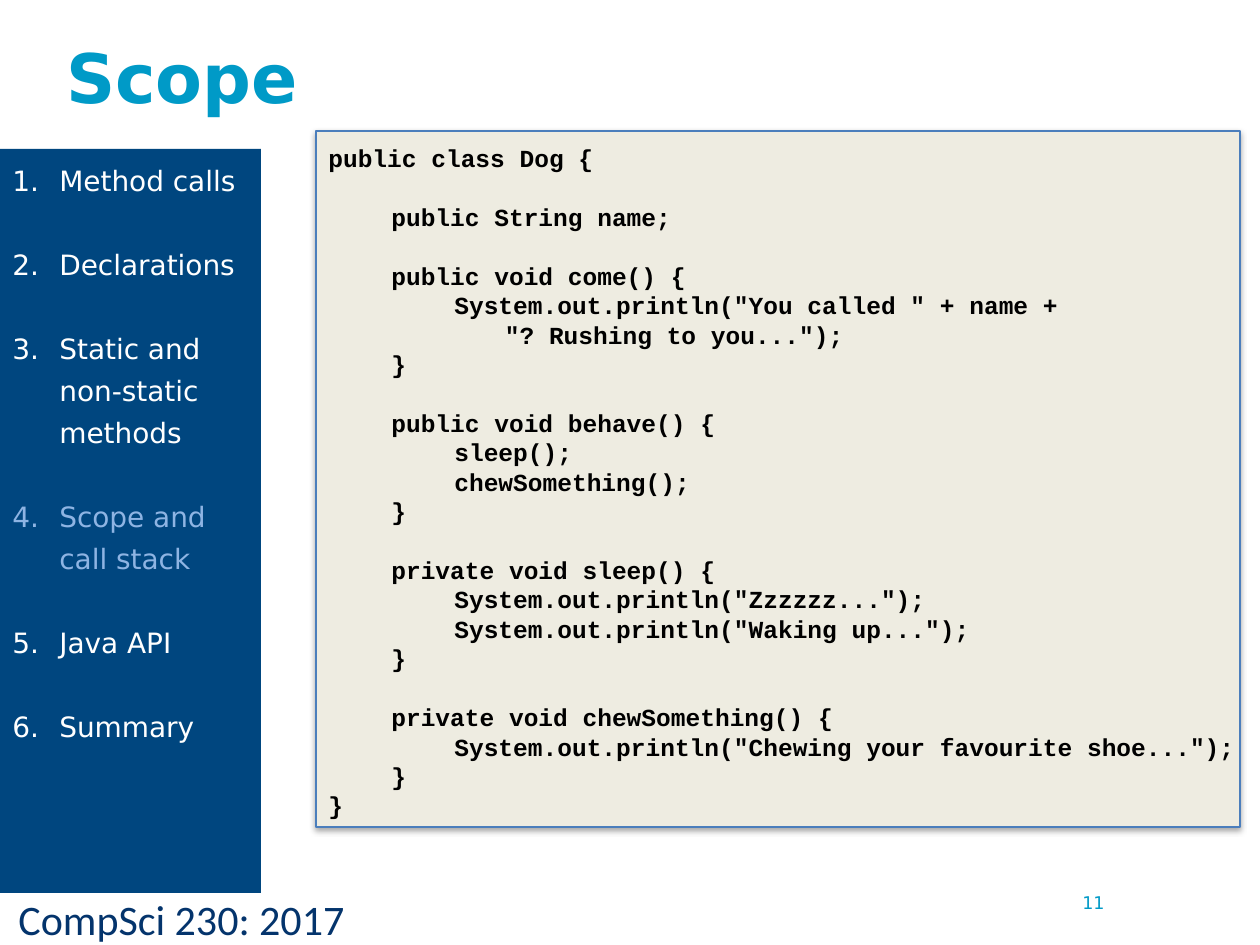
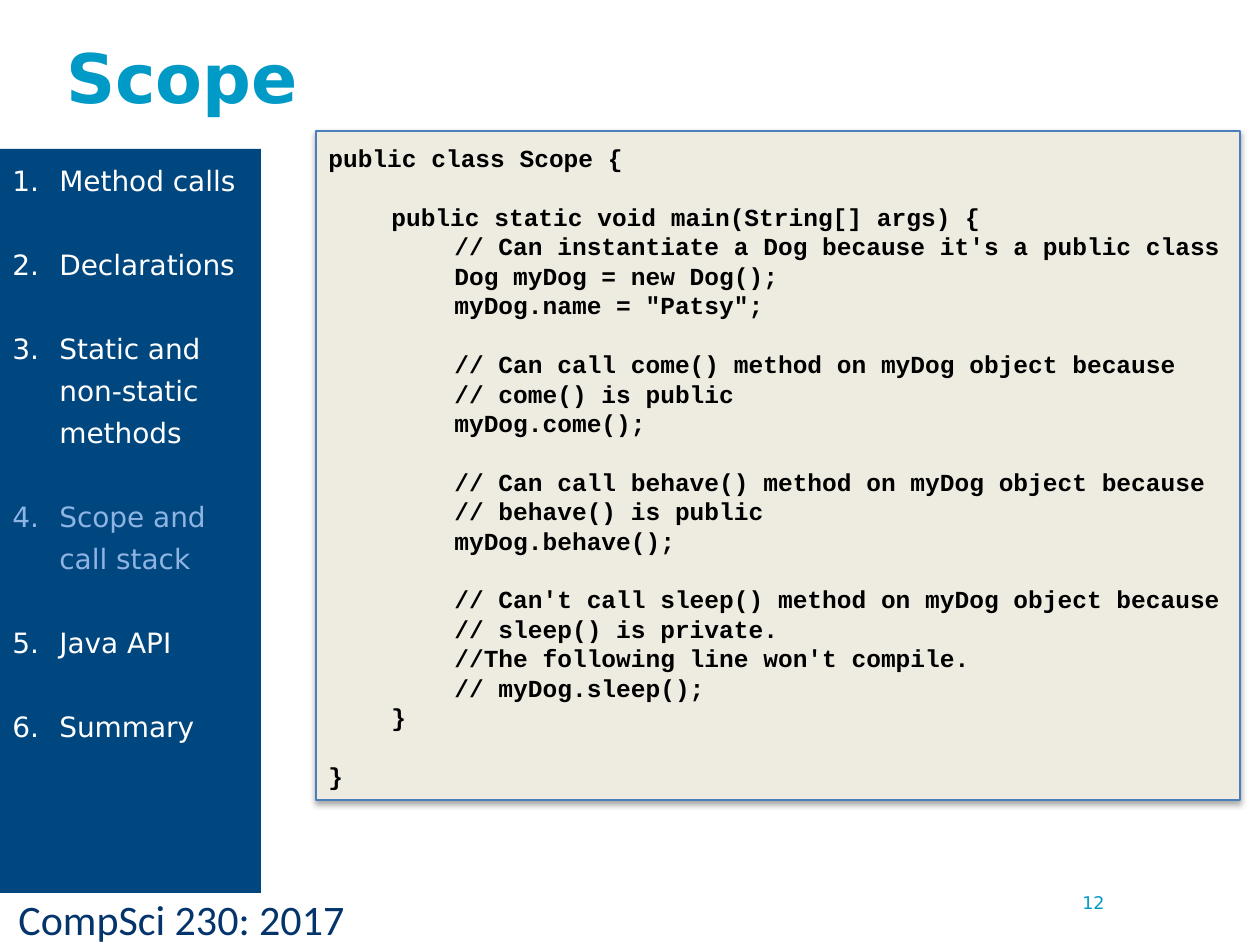
from lxml import etree
from pptx import Presentation
from pptx.dml.color import RGBColor
from pptx.enum.shapes import MSO_SHAPE
from pptx.enum.text import MSO_ANCHOR, PP_ALIGN
from pptx.oxml import parse_xml
from pptx.oxml.ns import nsdecls, qn
from pptx.util import Emu, Pt

PX = 914400 / 126
NAVY, SKY, PALE, WHITE = "00467F", "009AC7", "8EB4E3", "FFFFFF"
INK, FOOTER, CODE_FILL, CODE_LINE = "000000", "04346C", "EEECE1", "4B7EBC"
SANS, MONO, BODY = "DejaVu Sans", "Courier New", "Calibri"
TAB = 63
INDENT = 47

AGENDA = ["Method calls", "Declarations", "Static and non-static methods",
          "Scope and call stack", "Java API", "Summary"]
CURRENT = "Scope and call stack"

DOG_CODE = """public class Dog {

\tpublic String name;

\tpublic void come() {
\t\tSystem.out.println("You called " + name + \v            "? Rushing to you...");
\t}

\tpublic void behave() {
\t\tsleep();
\t\tchewSomething();
\t}

\tprivate void sleep() {
\t\tSystem.out.println("Zzzzzz...");
\t\tSystem.out.println("Waking up...");
\t}

\tprivate void chewSomething() {
\t\tSystem.out.println("Chewing your favourite shoe...");
\t}
}"""

SCOPE_CODE = """public class Scope {

\tpublic static void main(String[] args) {
\t\t// Can instantiate a Dog because it's a public class
\t\tDog myDog = new Dog();
\t\tmyDog.name = "Patsy";

\t\t// Can call come() method on myDog object because
\t\t// come() is public
\t\tmyDog.come();

\t\t// Can call behave() method on myDog object because
\t\t// behave() is public
\t\tmyDog.behave();

\t\t// Can't call sleep() method on myDog object because
\t\t// sleep() is private.
\t\t//The following line won't compile.
\t\t// myDog.sleep();
\t}

}"""

# code, code panel height, code text height, page number
SLIDES = [(DOG_CODE, 696, 692, "11"), (SCOPE_CODE, 669, 553, "12")]


def px(*lengths):
    return [Emu(round(n * PX)) for n in lengths]


def put_text(sp, text, size, font, color, bold=False):
    """Fill a shape with left-aligned text in one style and return its text frame."""
    tf = sp.text_frame
    tf.word_wrap = True
    tf.vertical_anchor = MSO_ANCHOR.TOP
    tf.text = text
    for p in tf.paragraphs:
        p.alignment = PP_ALIGN.LEFT
        for r in p.runs:
            r.font.size, r.font.name, r.font.bold = Pt(size), font, bold
            r.font.color.rgb = RGBColor.from_string(color)
    return tf


prs = Presentation()
prs.slide_width, prs.slide_height = px(1260, 945)

for code, panel_height, code_height, number in SLIDES:
    s = prs.slides.add_slide(prs.slide_layouts[6])

    footer = s.shapes.add_textbox(*px(6, 887, 510, 63))
    put_text(footer, "CompSci 230: 2017", 24, BODY, FOOTER)

    panel = s.shapes.add_shape(MSO_SHAPE.RECTANGLE, *px(316, 131, 924, panel_height))
    panel.fill.solid()
    panel.fill.fore_color.rgb = RGBColor.from_string(CODE_FILL)
    panel.line.color.rgb = RGBColor.from_string(CODE_LINE)
    panel.line.width = Pt(0.75)
    panel.shadow.inherit = False
    panel._element.spPr.find(qn("a:effectLst")).append(parse_xml(
        f'<a:outerShdw {nsdecls("a")} blurRad="40000" dist="23000" dir="5400000" '
        'rotWithShape="0"><a:srgbClr val="000000"><a:alpha val="35000"/>'
        '</a:srgbClr></a:outerShdw>'))

    listing = s.shapes.add_textbox(*px(316, 137, 944, code_height))
    tf = put_text(listing, code, 14, MONO, INK, bold=True)
    for p in tf.paragraphs:
        p.line_spacing = Pt(16.8)
        tabs = etree.SubElement(p._p.get_or_add_pPr(), qn("a:tabLst"))
        for stop in px(TAB, 2 * TAB):
            etree.SubElement(tabs, qn("a:tab"), pos=str(stop), algn="l")

    page = s.shapes.add_textbox(*px(1070, 886, 88, 66))
    put_text(page, number, 10, SANS, SKY)

    title = s.shapes.add_textbox(*px(54, 27, 898, 98))
    tf = put_text(title, "Scope", 39, SANS, SKY, bold=True)
    tf.vertical_anchor = MSO_ANCHOR.MIDDLE

    sidebar = s.shapes.add_shape(MSO_SHAPE.RECTANGLE, *px(0, 149, 261, 744))
    sidebar.fill.solid()
    sidebar.fill.fore_color.rgb = RGBColor.from_string(NAVY)
    sidebar.line.fill.background()
    sidebar.shadow.inherit = False
    tf = put_text(sidebar, "\n".join(AGENDA), 16, SANS, WHITE)
    for i, p in enumerate(tf.paragraphs):
        p.line_spacing = Pt(24)
        if i:
            p.space_before = Pt(24)
        pPr = p._p.get_or_add_pPr()
        indent = px(INDENT)[0]
        pPr.set("marL", str(indent))
        pPr.set("indent", str(-indent))
        etree.SubElement(pPr, qn("a:buFont"), typeface="+mj-lt")
        etree.SubElement(pPr, qn("a:buAutoNum"), type="arabicPeriod")
        if p.text == CURRENT:
            p.runs[0].font.color.rgb = RGBColor.from_string(PALE)

prs.save("out.pptx")
